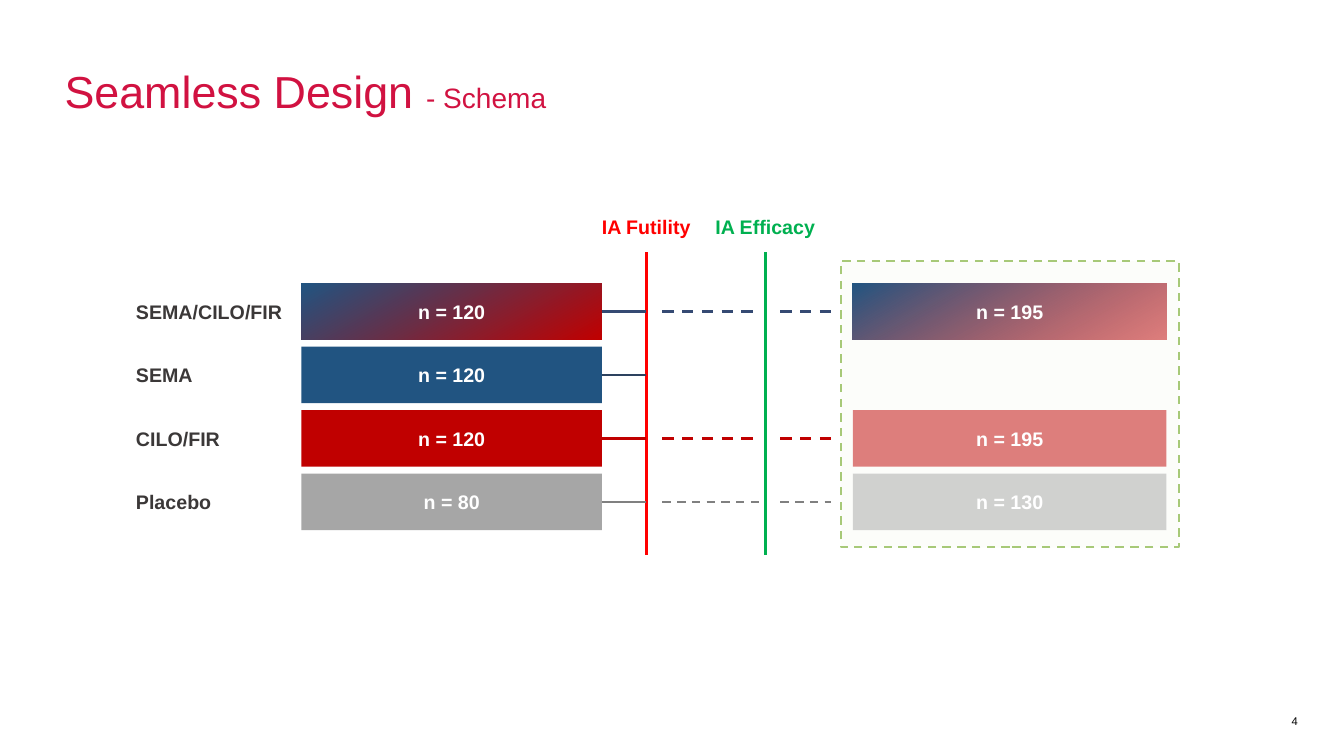
from lxml import etree
from pptx import Presentation
from pptx.dml.color import RGBColor
from pptx.enum.dml import MSO_LINE_DASH_STYLE as Dash
from pptx.enum.shapes import MSO_CONNECTOR, MSO_SHAPE
from pptx.enum.text import MSO_ANCHOR as Anchor, PP_ALIGN as Align
from pptx.oxml.ns import qn
from pptx.util import Inches, Pt

COLORS = {
    "title": "D11241", "label": "3B3838", "white": "FFFFFF", "black": "000000",
    "blue": "215481", "red": "C00000", "gray": "A6A6A6",
    "combo_line": "354A73", "blue_line": "2D425F", "gray_line": "808080",
    "futility": "FF0000", "efficacy": "00B050",
    "panel": "E2EDD2", "panel_line": "A7C978",
}
ARMS = [
    ("SEMA/CILO/FIR", ("red", "blue"), "combo_line", 2, "n = 120", "n = 195"),
    ("SEMA", ("blue",), "blue_line", 2, "n = 120", None),
    ("CILO/FIR", ("red",), "red", 2, "n = 120", "n = 195"),
    ("Placebo", ("gray",), "gray_line", 1.5, "n = 80", "n = 130"),
]
ROW_PITCH = 0.63
BAR_HEIGHT = 0.56
LABEL_HEIGHT = 0.34
FUTILITY_X = 6.41
EFFICACY_X = 7.59


def rgb(name):
    return RGBColor.from_string(COLORS[name])


def style_run(run, size, color, bold=False):
    run.font.name = "Arial"
    run.font.size = Pt(size)
    run.font.bold = bold
    run.font.color.rgb = rgb(color)


def add_label(slide, text, box, color, align=Align.LEFT, size=14, bold=True):
    shape = slide.shapes.add_textbox(*map(Inches, box))
    frame = shape.text_frame
    frame.word_wrap = True
    frame.vertical_anchor = Anchor.MIDDLE
    frame.text = text
    frame.paragraphs[0].alignment = align
    style_run(frame.paragraphs[0].runs[0], size, color, bold)


def add_line(slide, start, end, color, width=2, dashed=False):
    line = slide.shapes.add_connector(
        MSO_CONNECTOR.STRAIGHT, *map(Inches, (*start, *end)))
    line.line.color.rgb = rgb(color)
    line.line.width = Pt(width)
    if dashed:
        line.line.dash_style = Dash.DASH
    etree.SubElement(line._element.spPr, qn("a:effectLst"))
    return line


def add_rectangle(slide, box, fills, opacity=100):
    shape = slide.shapes.add_shape(MSO_SHAPE.RECTANGLE, *map(Inches, box))
    shape.shadow.inherit = False
    shape.line.fill.background()
    if len(fills) == 1:
        shape.fill.solid()
        shape.fill.fore_color.rgb = rgb(fills[0])
    else:
        shape.fill.gradient()
        shape.fill.gradient_angle = 120
        for stop, color in zip(shape.fill.gradient_stops, fills):
            stop.color.rgb = rgb(color)
    if opacity < 100:
        first_color = next(shape._element.spPr.iter(qn("a:srgbClr")))
        etree.SubElement(first_color, qn("a:alpha"), val=str(opacity * 1000))
    return shape


def add_bar(slide, text, box, fills, opacity=100):
    bar = add_rectangle(slide, box, fills, opacity)
    frame = bar.text_frame
    frame.vertical_anchor = Anchor.MIDDLE
    frame.text = text
    frame.paragraphs[0].alignment = Align.CENTER
    style_run(frame.paragraphs[0].runs[0], 14, "white", True)
    return bar


def add_title(slide, box):
    title = slide.shapes.title
    title.left, title.top, title.width, title.height = map(Inches, box)
    frame = title.text_frame
    frame.vertical_anchor = Anchor.BOTTOM
    paragraph = frame.paragraphs[0]
    paragraph.alignment = Align.LEFT
    paragraph.line_spacing = 0.9
    for text, size in (("Seamless Design ", 32), ("- Schema", 20)):
        run = paragraph.add_run()
        run.text = text
        style_run(run, size, "title")


def add_analysis(slide, text, color, box):
    left, top, width, height = box
    center = left + width / 2
    add_label(slide, text, (left, top, width, LABEL_HEIGHT), color, Align.CENTER)
    add_line(slide, (center, top + 0.42), (center, top + height), color)


def add_arm(slide, arm, box):
    name, fills, line_color, line_width, first_size, final_size = arm
    left, top, width, height = box
    middle = top + height / 2
    add_label(slide, name, (left, middle - LABEL_HEIGHT / 2, 1.69, LABEL_HEIGHT),
              "label")
    first_left, first_width, final_width = left + 1.74, 2.98, 3.11
    bar = add_bar(slide, first_size, (first_left, top, first_width, height), fills)
    stub = add_line(slide, (first_left + first_width, middle),
                    (FUTILITY_X, middle), line_color, line_width)
    stub.begin_connect(bar, 3)
    if final_size is None:
        return
    for start, length in ((FUTILITY_X + 0.16, 0.96), (EFFICACY_X + 0.15, 0.5)):
        add_line(slide, (start, middle), (start + length, middle),
                 line_color, line_width, True)
    add_bar(slide, final_size,
            (left + width - final_width, top, final_width, height), fills, 50)


def add_schema(slide, box):
    left, top, width, height = box
    for text, color, x in (("IA Futility", "futility", FUTILITY_X),
                           ("IA Efficacy", "efficacy", EFFICACY_X)):
        add_analysis(slide, text, color, (x - 0.62, top, 1.24, height))
    panel = add_rectangle(slide, (left + 7.09, top + 0.51, 3.35, 2.84),
                          ("panel",), 10)
    panel.line.color.rgb = rgb("panel_line")
    panel.line.width = Pt(1.5)
    panel.line.dash_style = Dash.DASH
    for row, arm in enumerate(ARMS):
        add_arm(slide, arm,
                (left, top + 0.73 + row * ROW_PITCH, width - 0.12, BAR_HEIGHT))


def main():
    presentation = Presentation()
    presentation.slide_width = Inches(13.33)
    presentation.slide_height = Inches(7.5)
    slide = presentation.slides.add_slide(presentation.slide_layouts[5])
    add_title(slide, (0.54, 0.36, 12.29, 0.86))
    add_schema(slide, (1.25, 2.08, 10.44, 3.43))
    add_label(slide, "4", (12.45, 6.95, 0.52, 0.4), "black", Align.RIGHT, 8, False)
    presentation.save("out.pptx")


if __name__ == "__main__":
    main()
